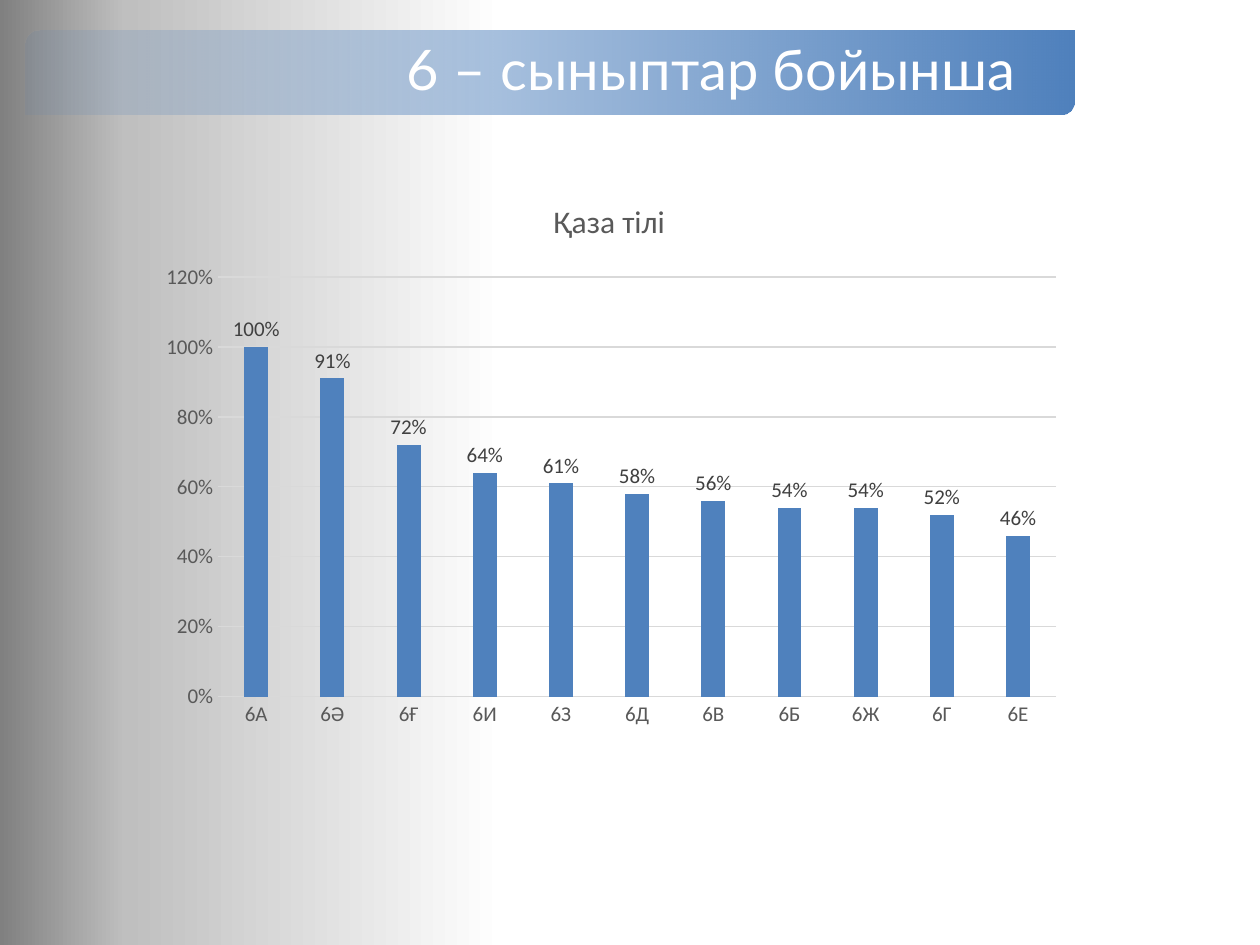
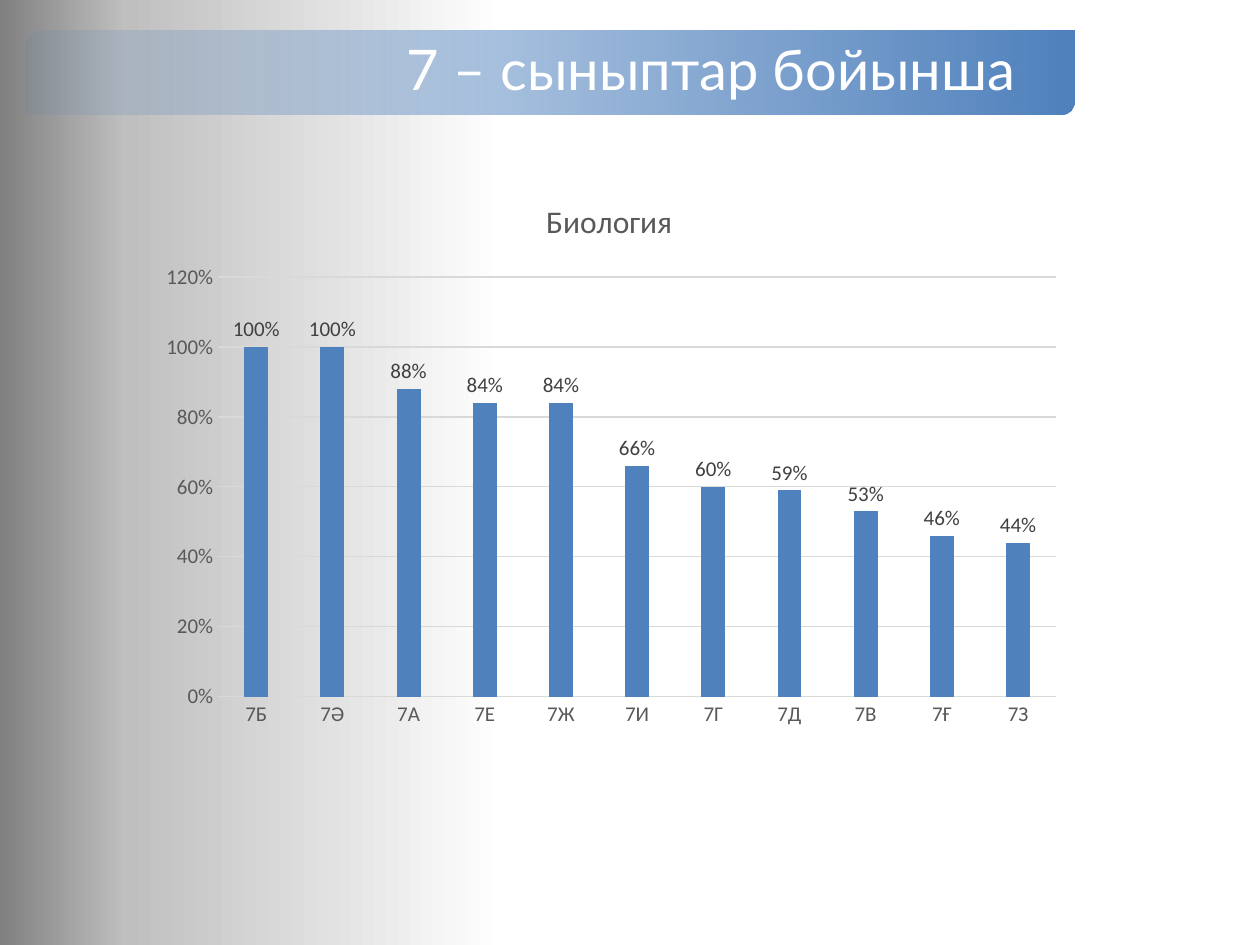
from dataclasses import dataclass
from typing import Any

from lxml.etree import SubElement
from pptx import Presentation
from pptx.chart.data import CategoryChartData as ChartData
from pptx.dml.color import RGBColor as RGB
from pptx.enum.chart import XL_CHART_TYPE as Kind
from pptx.enum.chart import XL_LABEL_POSITION as Spot
from pptx.enum.chart import XL_TICK_MARK as Tick
from pptx.enum.shapes import MSO_SHAPE as Form
from pptx.enum.text import MSO_ANCHOR as Anchor
from pptx.enum.text import MSO_AUTO_SIZE as Fit
from pptx.enum.text import PP_ALIGN as Align
from pptx.oxml import parse_xml
from pptx.oxml.ns import nsdecls, qn
from pptx.util import Inches, Pt


@dataclass(frozen=True)
class Theme:
    blue: str = "4F81BD"
    white: str = "FFFFFF"
    rule: str = "D9D9D9"
    grey: str = "595959"
    dark: str = "404040"
    head: str = "Lato"
    body: str = "Calibri"
    head_pt: int = 32
    name_pt: int = 18
    base_pt: int = 10
    text_pt: int = 12
    rule_pt: float = 0.75


@dataclass(frozen=True)
class Stop:
    pos: int
    color: str
    alpha: int = 100


@dataclass(frozen=True)
class Grade:
    number: int
    subject: str
    groups: str
    scores: tuple[int, ...]


THEME = Theme()
BACK = (Stop(60, THEME.white), Stop(90, "BFBFBF"), Stop(100, "808080"))
FADE = (Stop(0, THEME.blue, 10), Stop(100, THEME.blue))
BAND = [Inches(n) for n in (0.2, 0.24, 8.33, 0.67)]
CHART = [Inches(n) for n in (1.14, 1.4, 7.39, 4.44)]
PLOT = {"x": 0.08, "y": 0.18, "w": 0.9, "h": 0.75}
GRADES = (
    Grade(6, "Қаза тілі", "АӘҒИЗДВБЖГЕ",
          (100, 91, 72, 64, 61, 58, 56, 54, 54, 52, 46)),
    Grade(7, "Биология", "БӘАЕЖИГДВҒЗ",
          (100, 100, 88, 84, 84, 66, 60, 59, 53, 46, 44)),
)


def apply(target: Any, values: dict[str, Any]) -> None:
    for name, value in values.items():
        setattr(target, name, value)


def style(font: Any, face: str, size: int, color: str) -> None:
    apply(font, {"name": face, "size": Pt(size), "bold": False})
    font.color.rgb = RGB.from_string(color)


def rule(line: Any) -> None:
    line.color.rgb = RGB.from_string(THEME.rule)
    line.width = Pt(THEME.rule_pt)


def blend(fill: Any, root: Any, stops: tuple[Stop, ...], angle: int) -> None:
    """Give the fill found under root a linear gradient with these stops."""
    fill.gradient()
    fill.gradient_angle = angle
    items = root.find(".//" + qn("a:gsLst"))
    for item in list(items):
        items.remove(item)
    for stop in stops:
        item = SubElement(items, qn("a:gs"), pos=str(stop.pos * 1000))
        color = SubElement(item, qn("a:srgbClr"), val=stop.color)
        if stop.alpha < 100:
            SubElement(color, qn("a:alpha"), val=str(stop.alpha * 1000))


def add_head(slide: Any, text: str) -> None:
    band = slide.shapes.add_shape(Form.ROUND_2_DIAG_RECTANGLE, *BAND)
    band.shadow.inherit = False
    band.line.fill.background()
    blend(band.fill, band.element, FADE, 0)

    title = slide.shapes.title
    apply(title, dict(zip(("left", "top", "width", "height"), BAND)))
    band.element.addnext(title.element)  # the text lies over the band
    frame = title.text_frame
    frame.text = text
    apply(frame, {
        "auto_size": Fit.NONE, "word_wrap": True,
        "vertical_anchor": Anchor.MIDDLE, "margin_left": Inches(3.03),
        "margin_right": Inches(0.17), "margin_top": 0, "margin_bottom": 0,
    })
    para = frame.paragraphs[0]
    apply(para, {"alignment": Align.LEFT, "line_spacing": 0.9})
    style(para.runs[0].font, THEME.head, THEME.head_pt, THEME.white)


def set_plot(chart: Any) -> None:
    """Fix the inner plot area as shares of the chart."""
    area = chart.element.find(".//" + qn("c:plotArea"))
    for old in area.findall(qn("c:layout")):
        area.remove(old)
    modes = "".join(f'<c:{k}Mode val="edge"/>' for k in "xy")
    sizes = "".join(f'<c:{k} val="{v}"/>' for k, v in PLOT.items())
    area.insert(0, parse_xml(
        f'<c:layout {nsdecls("c")}><c:manualLayout>'
        f'<c:layoutTarget val="inner"/>{modes}{sizes}'
        '</c:manualLayout></c:layout>'))


def add_chart(slide: Any, grade: Grade) -> None:
    data = ChartData(number_format="0%")
    data.categories = [f"{grade.number}{group}" for group in grade.groups]
    data.add_series("Series 1", [score / 100 for score in grade.scores])
    chart = slide.shapes.add_chart(Kind.COLUMN_CLUSTERED, *CHART, data).chart
    chart.has_legend = False
    style(chart.font, THEME.body, THEME.base_pt, "000000")
    frame = chart.chart_title.text_frame
    frame.text = grade.subject
    style(frame.paragraphs[0].runs[0].font,
          THEME.body, THEME.name_pt, THEME.grey)
    set_plot(chart)

    cats, vals = chart.category_axis, chart.value_axis
    for axis in (cats, vals):
        apply(axis, {"major_tick_mark": Tick.NONE,
                     "minor_tick_mark": Tick.NONE})
        style(axis.tick_labels.font, THEME.body, THEME.text_pt, THEME.grey)
    rule(cats.format.line)
    apply(vals, {"minimum_scale": 0, "maximum_scale": 1.2,
                 "major_unit": 0.2, "has_major_gridlines": True})
    vals.format.line.fill.background()
    rule(vals.major_gridlines.format.line)

    plot = chart.plots[0]
    apply(plot, {"gap_width": 219, "overlap": -27,
                 "vary_by_categories": False, "has_data_labels": True})
    bars = plot.series[0].format.fill
    bars.solid()
    bars.fore_color.rgb = RGB.from_string(THEME.blue)
    labels = plot.data_labels
    apply(labels, {"show_value": True, "position": Spot.OUTSIDE_END})
    style(labels.font, THEME.body, THEME.text_pt, THEME.dark)
    for item in (vals.tick_labels, labels):
        apply(item, {"number_format": "0%", "number_format_is_linked": False})


def main() -> None:
    deck = Presentation()
    apply(deck, {"slide_width": Inches(10), "slide_height": Inches(7.5)})
    master = deck.slide_master
    blend(master.background.fill, master.element, BACK, 180)
    for grade in GRADES:
        slide = deck.slides.add_slide(deck.slide_layouts[5])
        add_head(slide, f"{grade.number} – сыныптар бойынша")
        add_chart(slide, grade)
    deck.save("out.pptx")


if __name__ == "__main__":
    main()
